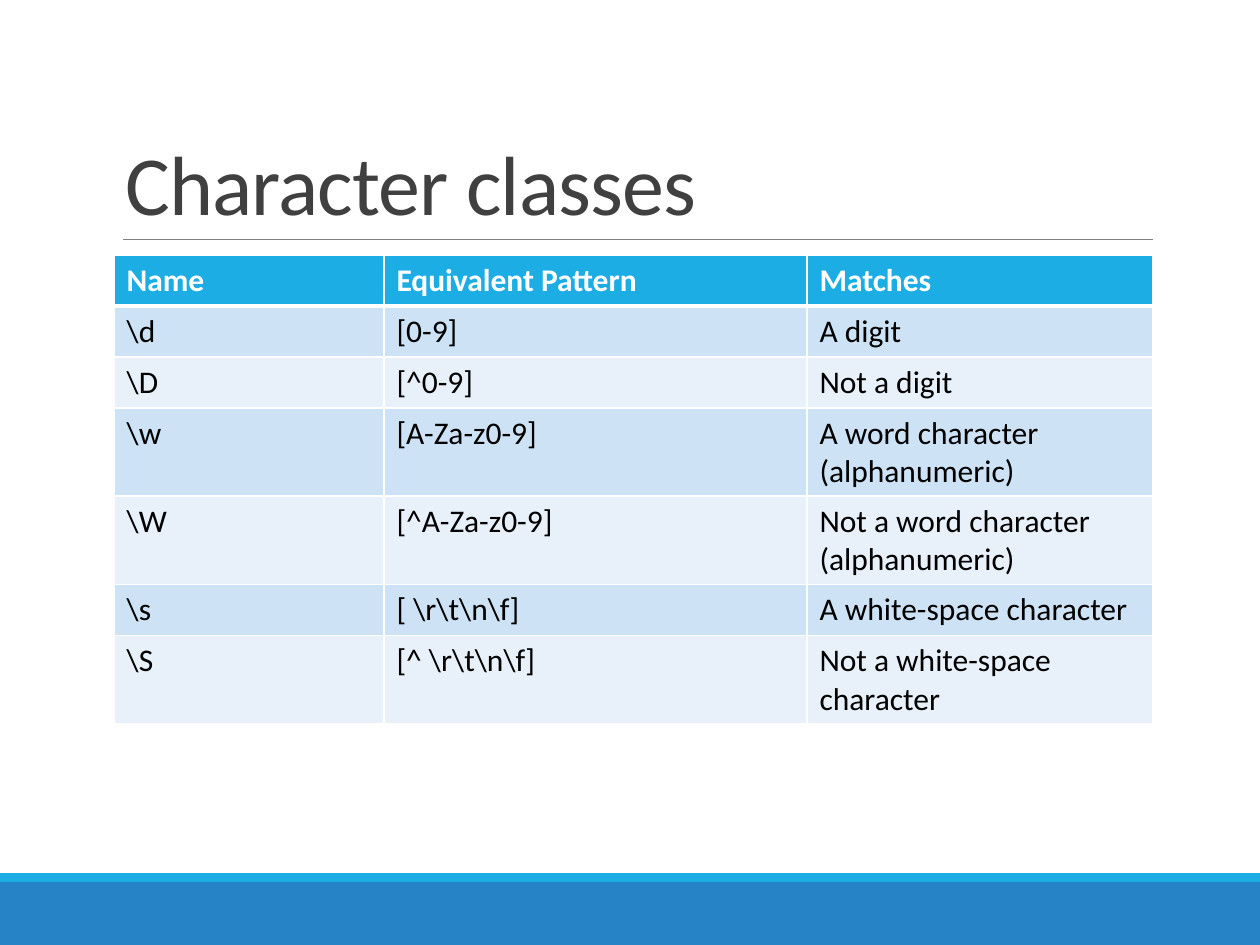
from dataclasses import dataclass

from lxml import etree
from pptx import Presentation
from pptx import util as u
from pptx.dml.color import RGBColor
from pptx.enum import shapes, text
from pptx.oxml import parse_xml
from pptx.oxml.ns import qn

NS = "http://schemas.openxmlformats.org/drawingml/2006/main"


@dataclass(frozen=True)
class Theme:
    font: str = "Calibri"
    big: int = 48
    body: int = 18
    title: str = "404040"
    ink: str = "000000"
    white: str = "FFFFFF"
    head: str = "1CADE4"
    bands: tuple = ("CDE3F5", "E8F1FA")
    foot: str = "2683C6"
    rule: str = "808080"


theme = Theme()


def px(n):
    return u.Emu(round(n * 914400 / 126))


def style(par, size, color, bold=False):
    for run in par.runs:
        font = run.font
        font.name, font.size, font.bold = theme.font, u.Pt(size), bold
        font.color.rgb = RGBColor.from_string(color)


prs = Presentation()
prs.slide_width, prs.slide_height = px(1260), px(945)
slide = prs.slides.add_slide(prs.slide_layouts[6])

# Footer bands
for top, high, color in ((882, 63, theme.foot), (873, 9, theme.head)):
    band = slide.shapes.add_shape(
        shapes.MSO_SHAPE.RECTANGLE, 0, px(top), px(1260), px(high))
    band.shadow.inherit = False
    band.fill.solid()
    band.fill.fore_color.rgb = RGBColor.from_string(color)
    band.line.fill.background()

# Title and the rule below it
rule = slide.shapes.add_connector(
    shapes.MSO_CONNECTOR.STRAIGHT, px(123), px(239), px(1153), px(239))
rule.line.color.rgb = RGBColor.from_string(theme.rule)
rule.line.width = u.Pt(0.5)
etree.SubElement(rule._element.spPr, qn("a:effectLst"))

title = slide.shapes.add_textbox(px(113), px(39), px(1040), px(200))
frame = title.text_frame
frame.word_wrap = True
frame.vertical_anchor = text.MSO_ANCHOR.BOTTOM
frame.text = "Character classes"
par = frame.paragraphs[0]
par.line_spacing = 0.85
style(par, theme.big, theme.title)
par.runs[0].font._element.set("spc", "-50")

# Table of classes
rows = (
    ("Name", "Equivalent Pattern", "Matches"),
    (r"\d", "[0-9]", "A digit"),
    (r"\D", "[^0-9]", "Not a digit"),
    (r"\w", "[A-Za-z0-9]", "A word character (alphanumeric)"),
    (r"\W", "[^A-Za-z0-9]", "Not a word character (alphanumeric)"),
    (r"\s", r"[ \r\t\n\f]", "A white-space character"),
    (r"\S", r"[^ \r\t\n\f]", "Not a white-space character"),
)
wide = (270, 423, 346)
high = 51
table = slide.shapes.add_table(
    len(rows), len(wide), px(114), px(255), px(sum(wide)),
    px(high * len(rows))).table
for col, width in zip(table.columns, wide):
    col.width = px(width)

for r, row in enumerate(rows):
    table.rows[r].height = px(high)
    top = r == 0
    fill = theme.head if top else theme.bands[(r - 1) % 2]
    for c, words in enumerate(row):
        cell = table.cell(r, c)
        cell.text_frame.text = words
        style(cell.text_frame.paragraphs[0], theme.body,
              theme.white if top else theme.ink, top)
        cell.fill.solid()
        cell.fill.fore_color.rgb = RGBColor.from_string(fill)
        props = cell._tc.get_or_add_tcPr()
        for i, side in enumerate("LRTB"):
            # The header's lower edge is shared with the first body row
            thick = (top and side == "B") or (r == 1 and side == "T")
            props.insert(i, parse_xml(
                f'<a:ln{side} xmlns:a="{NS}" w="{u.Pt(3 if thick else 1)}">'
                f'<a:solidFill><a:srgbClr val="{theme.white}"/></a:solidFill>'
                f'</a:ln{side}>'))

prs.save("out.pptx")
